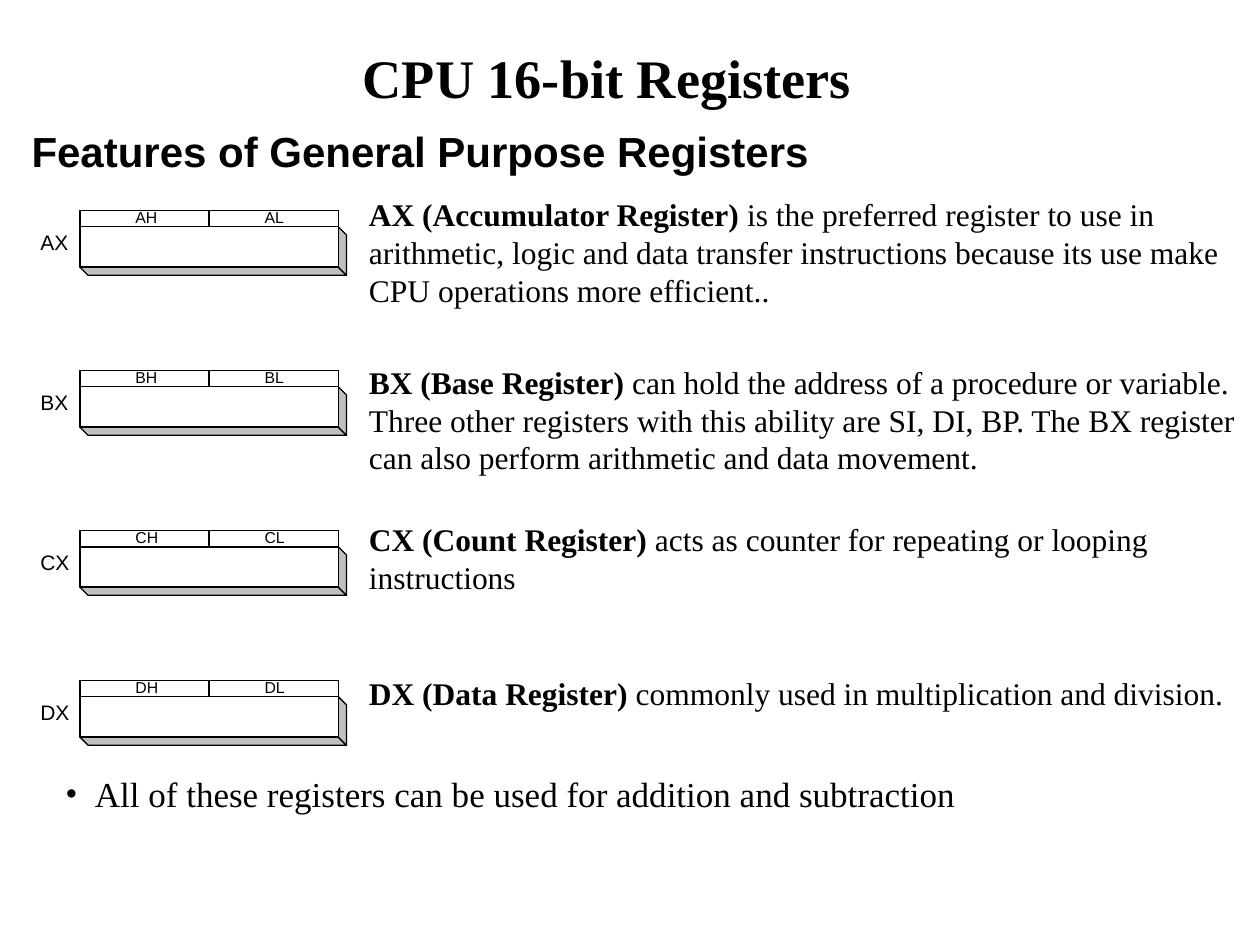
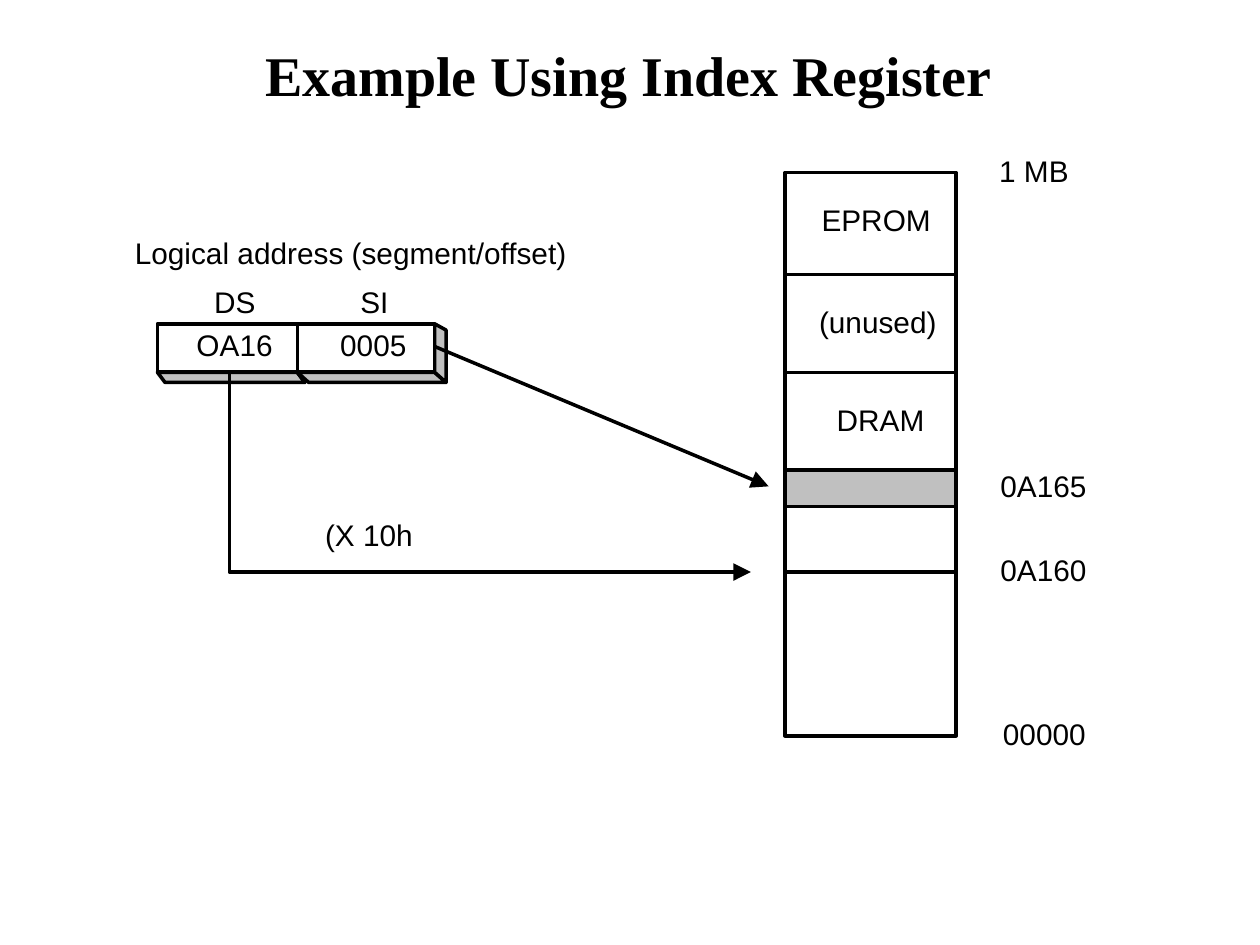
from dataclasses import dataclass

import lxml.etree
import pptx
import pptx.dml.color
import pptx.enum.shapes
import pptx.enum.text
import pptx.oxml.ns
import pptx.presentation
import pptx.shapes.base
import pptx.slide
import pptx.text.text
import pptx.util

SLIDE_WIDTH = pptx.util.Inches(10)
SLIDE_HEIGHT = pptx.util.Inches(7.5)
COLUMNS, ROWS = 100, 75
COLORS = {"ink": "000000", "paper": "FFFFFF", "shade": "C0C0C0"}
SANS, SERIF = "Arial", "Times New Roman"
ALIGN = pptx.enum.text.PP_ALIGN
Point = tuple[float, float]


@dataclass(frozen=True)
class Box:
    left: float
    top: float
    width: float
    height: float


@dataclass(frozen=True)
class Label:
    text: str
    box: Box
    size: float = 17
    bold: bool = False


@dataclass(frozen=True)
class Block:
    front: Box
    depth_x: float
    depth_y: float
    side_drop: float
    weight: float


@dataclass(frozen=True)
class Register:
    letter: str
    top: float
    note_top: float
    note_height: float
    term: str
    description: str


@dataclass(frozen=True)
class MemoryCell:
    height: float
    fill: str = "paper"


REGISTERS = (
    Register("A", 18, 15, 10, "AX (Accumulator Register)",
             " is the preferred register to use in arithmetic, logic and data transfer "
             "instructions because its use make CPU operations more efficient.."),
    Register("B", 30.7, 28.3, 10, "BX (Base Register)",
             " can hold the address of a procedure or variable. Three other registers with this "
             "ability are SI, DI, BP. The BX register can also perform arithmetic and data movement."),
    Register("C", 43.4, 40.8, 7, "CX (Count Register)",
             " acts as counter for repeating or looping instructions"),
    Register("D", 55.3, 53, 4, "DX (Data Register)",
             " commonly used in multiplication and division."),
)

ADDRESS_BLOCKS = (
    Block(Box(12.5, 25.7, 11.1, 3.85), 0.6, 0.8, 0.5, 2),
    Block(Box(23.6, 25.7, 10.9, 3.85), 0.9, 0.8, 0.5, 2),
)

MEMORY_LEFT, MEMORY_TOP, MEMORY_WIDTH = 62.3, 13.7, 13.6
MEMORY_CELLS = (
    MemoryCell(8.1), MemoryCell(7.75), MemoryCell(7.75),
    MemoryCell(2.9, "shade"), MemoryCell(5.2), MemoryCell(13),
)

ADDRESS_LABELS = (
    Label("Logical address (segment/offset)", Box(10.7, 18.6, 34.8, 2.8)),
    Label("DS", Box(17, 22.5, 3.8, 2.8)),
    Label("SI", Box(28.6, 22.5, 2.8, 2.8)),
    Label("OA16", Box(15.6, 25.9, 6.6, 2.8)),
    Label("0005", Box(27, 25.9, 5.8, 2.8)),
    Label("(X 10h", Box(25.8, 41, 7.5, 2.8)),
    Label("EPROM", Box(65.2, 16, 9.2, 2.8)),
    Label("(unused)", Box(65, 24.1, 9.9, 2.8)),
    Label("DRAM", Box(66.4, 31.9, 7.5, 2.8)),
    Label("1 MB", Box(79.3, 12.1, 6.2, 2.8)),
    Label("0A165", Box(79.4, 37.1, 7.4, 2.8)),
    Label("0A160", Box(79.4, 43.8, 7.4, 2.8)),
    Label("00000", Box(79.6, 56.8, 7.1, 2.8)),
)


def across(columns: float) -> int:
    return round(SLIDE_WIDTH * columns / COLUMNS)


def down(rows: float) -> int:
    return round(SLIDE_HEIGHT * rows / ROWS)


def place(box: Box) -> tuple[int, int, int, int]:
    return across(box.left), down(box.top), across(box.width), down(box.height)


def rgb(name: str) -> pptx.dml.color.RGBColor:
    return pptx.dml.color.RGBColor.from_string(COLORS[name])


def style_font(font: pptx.text.text.Font, name: str, size: float, bold: bool = False) -> None:
    font.name, font.size, font.bold = name, pptx.util.Pt(size), bold
    font.color.rgb = rgb("ink")


def style_line(shape: pptx.shapes.base.BaseShape, weight: float) -> None:
    shape.line.color.rgb = rgb("ink")
    shape.line.width = pptx.util.Pt(weight)


def style_shape(shape: pptx.shapes.base.BaseShape, fill: str, weight: float) -> None:
    shape.shadow.inherit = False
    shape.fill.solid()
    shape.fill.fore_color.rgb = rgb(fill)
    style_line(shape, weight)


def add_arrowhead(shape: pptx.shapes.base.BaseShape) -> None:
    line = shape.element.spPr.find(pptx.oxml.ns.qn("a:ln"))
    lxml.etree.SubElement(line, pptx.oxml.ns.qn("a:tailEnd"), type="triangle", w="lg", len="lg")


def add_rectangle(slide: pptx.slide.Slide, box: Box, fill: str, weight: float) -> None:
    shape = slide.shapes.add_shape(pptx.enum.shapes.MSO_SHAPE.RECTANGLE, *place(box))
    style_shape(shape, fill, weight)


def add_outline(slide: pptx.slide.Slide, points: list[Point], close: bool) -> pptx.shapes.base.BaseShape:
    corners = [(across(x), down(y)) for x, y in points]
    builder = slide.shapes.build_freeform(*corners[0])
    builder.add_line_segments(corners[1:], close=close)
    return builder.convert_to_shape()


def add_line(slide: pptx.slide.Slide, start: Point, end: Point) -> pptx.shapes.base.BaseShape:
    connector = slide.shapes.add_connector(
        pptx.enum.shapes.MSO_CONNECTOR.STRAIGHT,
        across(start[0]), down(start[1]), across(end[0]), down(end[1]))
    style_line(connector, 2)
    lxml.etree.SubElement(connector.element.spPr, pptx.oxml.ns.qn("a:effectLst"))
    return connector


def add_block(slide: pptx.slide.Slide, block: Block) -> None:
    front = block.front
    right, bottom = front.left + front.width, front.top + front.height
    corner = (right + block.depth_x, bottom + block.depth_y)
    underside = [(right, bottom), (front.left, bottom), (front.left + block.depth_x, corner[1]), corner]
    side = [corner, (right, bottom), (right, front.top), (corner[0], front.top + block.side_drop)]
    for face in (underside, side):
        style_shape(add_outline(slide, face, True), "shade", block.weight)
    add_rectangle(slide, front, "paper", block.weight)


def add_text_frame(slide: pptx.slide.Slide, box: Box, wrap: bool, inset: bool) -> pptx.text.text.TextFrame:
    frame = slide.shapes.add_textbox(*place(box)).text_frame
    frame.word_wrap = wrap
    frame.auto_size = pptx.enum.text.MSO_AUTO_SIZE.SHAPE_TO_FIT_TEXT
    frame.margin_left = frame.margin_right = across(1 if inset else 0)
    frame.margin_top = frame.margin_bottom = down(0.5 if inset else 0)
    return frame


def add_label(slide: pptx.slide.Slide, label: Label) -> None:
    paragraph = add_text_frame(slide, label.box, True, False).paragraphs[0]
    paragraph.text = label.text
    style_font(paragraph.font, SANS, label.size, label.bold)


def add_title(slide: pptx.slide.Slide, text: str, box: Box, size: float) -> None:
    paragraph = add_text_frame(slide, box, True, True).paragraphs[0]
    paragraph.text = text
    paragraph.alignment = ALIGN.CENTER
    style_font(paragraph.font, SERIF, size, True)


def add_note(slide: pptx.slide.Slide, register: Register) -> None:
    box = Box(28.3, register.note_top, 71.7, register.note_height)
    paragraph = add_text_frame(slide, box, True, True).paragraphs[0]
    style_font(paragraph.font, SERIF, 18)
    for text, bold in ((register.term, True), (register.description, False)):
        run = paragraph.add_run()
        run.text = text
        run.font.bold = bold


def add_bullet(slide: pptx.slide.Slide, text: str, box: Box) -> None:
    paragraph = add_text_frame(slide, box, True, True).paragraphs[0]
    paragraph.text = text
    properties = paragraph._p.get_or_add_pPr()
    properties.set("marL", str(across(2.35)))
    properties.set("indent", str(across(-2.35)))
    lxml.etree.SubElement(properties, pptx.oxml.ns.qn("a:buFont"), typeface=SERIF)
    lxml.etree.SubElement(properties, pptx.oxml.ns.qn("a:buChar"), char="•")
    style_font(paragraph.font, SERIF, 20)


def add_register(slide: pptx.slide.Slide, register: Register) -> None:
    left, half, top = 6.35, 10.25, register.top
    add_block(slide, Block(Box(left, top, 2 * half, 3.2), 0.65, 0.65, 0.65, 0.75))
    for index, suffix in enumerate("HL"):
        cell_left = left + index * half
        add_rectangle(slide, Box(cell_left, top - 1.3, half, 1.3), "paper", 0.75)
        add_label(slide, Label(register.letter + suffix, Box(cell_left + 4.4, top - 1.5, 2.3, 1.5), 9))
    add_label(slide, Label(register.letter + "X", Box(3.2, top + 0.2, 2.8, 2), 12))
    add_note(slide, register)


def build_registers_slide(slide: pptx.slide.Slide) -> None:
    add_title(slide, "CPU 16-bit Registers", Box(27, 3, 42.3, 6.2), 31)
    add_label(slide, Label("Features of General Purpose Registers", Box(2.5, 10, 62.5, 4), 24, True))
    for register in REGISTERS:
        add_register(slide, register)
    add_bullet(slide, "All of these registers can be used for addition and subtraction",
               Box(4.2, 60.8, 91.7, 4.4))


def build_index_slide(slide: pptx.slide.Slide) -> None:
    add_title(slide, "Example Using Index Register", Box(7.4, 2.7, 85, 5), 32)
    for block in ADDRESS_BLOCKS:
        add_block(slide, block)
    top = MEMORY_TOP
    for cell in MEMORY_CELLS:
        add_rectangle(slide, Box(MEMORY_LEFT, top, MEMORY_WIDTH, cell.height), cell.fill, 2)
        top += cell.height
    add_line(slide, (MEMORY_LEFT, top), (MEMORY_LEFT + MEMORY_WIDTH / 2, top))
    segment_route = add_outline(slide, [(18.2, 29.5), (18.2, 45.4), (59.6, 45.4)], False)
    segment_route.shadow.inherit = False
    segment_route.fill.background()
    style_line(segment_route, 2)
    add_arrowhead(segment_route)
    add_arrowhead(add_line(slide, (34.5, 27.5), (61, 38.6)))
    for label in ADDRESS_LABELS:
        add_label(slide, label)


def main() -> None:
    presentation = pptx.Presentation()
    presentation.slide_width, presentation.slide_height = SLIDE_WIDTH, SLIDE_HEIGHT
    for build in (build_registers_slide, build_index_slide):
        build(presentation.slides.add_slide(presentation.slide_layouts[6]))
    presentation.save("out.pptx")


if __name__ == "__main__":
    main()
